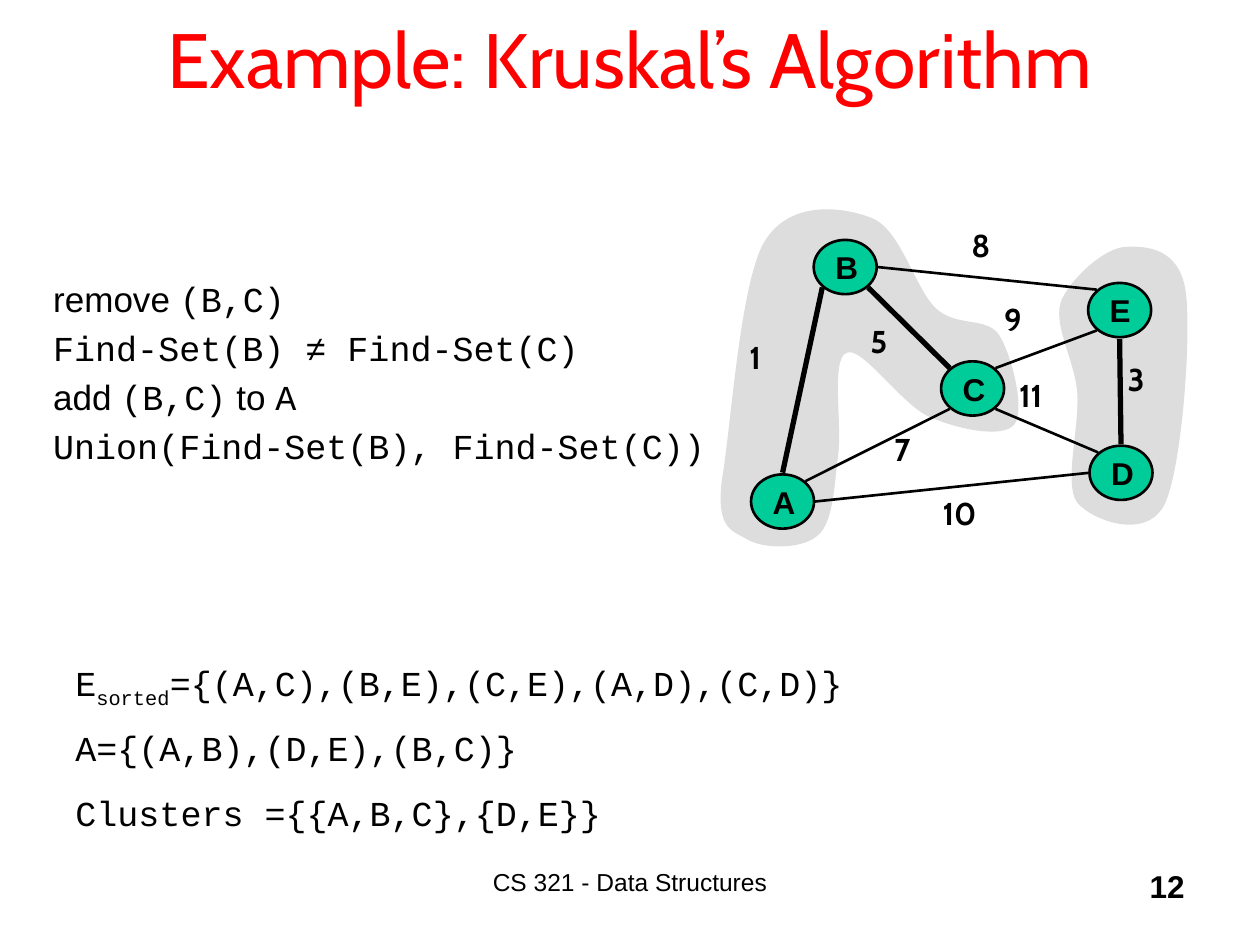
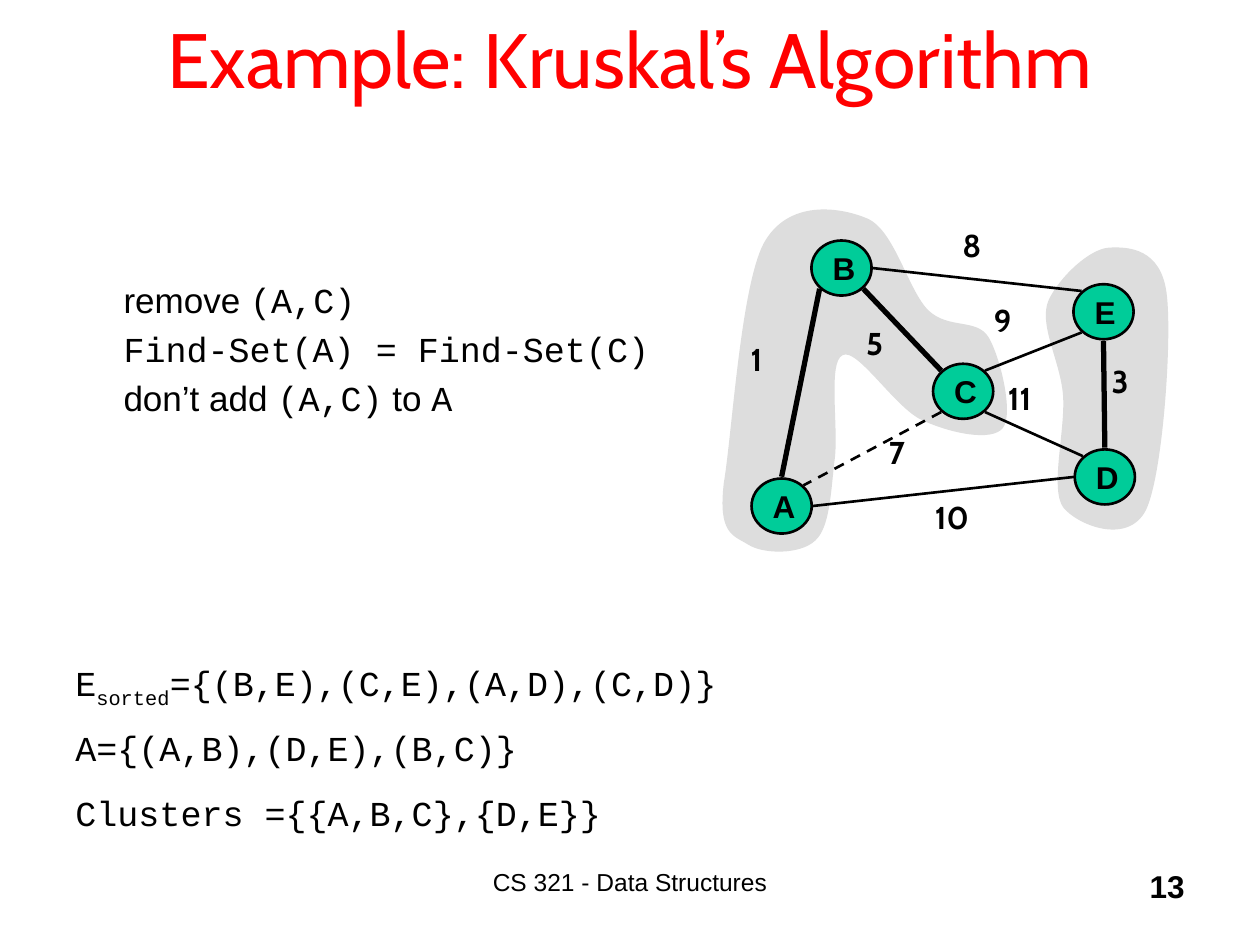
from math import cos, radians, sin

from lxml import etree
from pptx import Presentation
from pptx.dml.color import RGBColor
from pptx.enum.dml import MSO_LINE
from pptx.enum.shapes import MSO_CONNECTOR, MSO_SHAPE
from pptx.enum.text import MSO_ANCHOR, MSO_AUTO_SIZE, PP_ALIGN
from pptx.oxml.ns import qn
from pptx.util import Pt

RED = RGBColor(0xFF, 0x00, 0x00)
BLACK = RGBColor(0x00, 0x00, 0x00)
GREEN = RGBColor(0x00, 0xCC, 0x99)
GREY = RGBColor(0xDD, 0xDD, 0xDD)
SANS, TITLE_FONT, MONO = "Arial", "Cabin", "Courier New"

TITLE = "Example: Kruskal’s Algorithm"
FOOTER = "CS 321 - Data Structures"
TREE = "A={(A,B),(D,E),(B,C)}"
CLUSTERS = "Clusters ={{A,B,C},{D,E}}"

# steps: one list of (text, font) runs per line; scale: graph stretch in x and y
SLIDES = [
    {
        "number": "12",
        "steps_box": (23.3, 154.8, 389, 119),
        "steps": [
            [("remove ", SANS), ("(B,C)", MONO)],
            [("Find-Set(B) ≠ Find-Set(C)", MONO)],
            [("add ", SANS), ("(B,C)", MONO), (" to ", SANS), ("A", MONO)],
            [("Union(Find-Set(B), Find-Set(C))", MONO)],
        ],
        "sorted": "={(A,C),(B,E),(C,E),(A,D),(C,D)}",
        "sorted_width": 678,
        "scale": (1, 1),
        "rejected": [],
    },
    {
        "number": "13",
        "steps_box": (63.5, 155.3, 317, 90),
        "steps": [
            [("remove ", SANS), ("(A,C)", MONO)],
            [("Find-Set(A) = Find-Set(C)", MONO)],
            [("don’t add ", SANS), ("(A,C)", MONO), (" to ", SANS), ("A", MONO)],
        ],
        "sorted": "={(B,E),(C,E),(A,D),(C,D)}",
        "sorted_width": 420.5,
        "scale": (0.955, 1.015),
        "rejected": ["CA"],
    },
]

# Graph in slide points; each slide stretches it about GRAPH_ORIGIN
GRAPH_ORIGIN = (435, 114)
NODE_SIZE = (36, 31)
EDGE_RADII = (18.5, 16.5)
NODES = {"B": (483, 152.6), "C": (555.8, 222), "A": (447.2, 286.6),
         "D": (640.6, 270.2), "E": (639.8, 177.2)}
ANGLES = {"E": 0, "SE": 45, "S": 90, "SW": 135, "W": 180, "NW": 225, "N": 270, "NE": 315}
TREE_EDGES = {"BC", "BA", "ED"}
# edge, side of first node, side of second node, weight, label corner
EDGES = [
    ("BC", "SE", "NW", "5", (490.3, 180.6)),
    ("CA", "SW", "NE", "7", (504, 242)),
    ("BA", "SW", "N", "1", (421.2, 189.4)),
    ("CD", "SE", "NW", "11", (575.2, 211.6)),
    ("AD", "E", "W", "10", (531.5, 278.6)),
    ("BE", "E", "NW", "8", (548, 125.4)),
    ("ED", "S", "N", "3", (637.3, 202.2)),
    ("EC", "SW", "NE", "9", (566.8, 167.9)),
]
# Closed outlines: start point, then curves of two control points and an end point
CLUSTER_OUTLINES = [
    [(607, 170.6),
     (600.5, 184.3), (614.2, 205.2), (615.6, 224.6),
     (617, 244), (607.7, 276.5), (615.6, 287.3),
     (624.2, 297.4), (654.5, 308.9), (665.3, 288.7),
     (675.4, 268.6), (681.1, 190.8), (677.5, 166.3),
     (673.9, 141.8), (655.2, 140.4), (643, 141.1),
     (631.4, 141.8), (613.4, 157.7), (607, 170.6)],
    [(412.6, 273.6),
     (409, 302.4), (418.3, 303.1), (427, 308.2),
     (436.3, 313.9), (458.6, 313.9), (467.3, 306),
     (475.9, 298.8), (476.6, 279.4), (478.8, 261.4),
     (481.7, 244.1), (474.5, 205.2), (483.8, 201.6),
     (492.5, 197.3), (515.5, 231.8), (531.4, 238.3),
     (547.9, 245.5), (573.1, 250.6), (579.6, 242.6),
     (586.1, 234.7), (578.2, 203), (571, 191.5),
     (563.8, 180.7), (547.2, 187.2), (535, 176.4),
     (522.7, 164.9), (514.8, 131), (498.2, 124.6),
     (481.7, 118.1), (450.7, 113.8), (436.3, 139),
     (422.6, 164.2), (417.6, 245.5), (412.6, 273.6)],
]


def pts(*values):
    return [Pt(v) for v in values]


def fill_text(tf, lines, size, align=PP_ALIGN.LEFT, color=BLACK, bold=False, gap=0.2):
    """Write lines of (text, font[, baseline]) runs; gap is a share of the size."""
    for i, line in enumerate(lines):
        p = tf.paragraphs[0] if i == 0 else tf.add_paragraph()
        p.alignment = align
        p.space_before = Pt(size * gap)
        for text, font, *baseline in line:
            r = p.add_run()
            r.text = text
            for name, value in {"name": font, "size": Pt(size), "bold": bold}.items():
                setattr(r.font, name, value)
            r.font.color.rgb = color
            if baseline:
                r._r.get_or_add_rPr().set("baseline", str(baseline[0]))


def add_text(s, box, lines, size, wrap=True, anchor=MSO_ANCHOR.TOP,
             fit=MSO_AUTO_SIZE.NONE, **style):
    tf = s.shapes.add_textbox(*pts(*box)).text_frame
    settings = {"word_wrap": wrap, "vertical_anchor": anchor, "auto_size": fit}
    for name, value in settings.items():
        setattr(tf, name, value)
    fill_text(tf, lines, size, **style)


def curve_segments(sp):
    """Turn each three straight segments of a freeform into one cubic curve."""
    segments = list(sp._element.iter(qn("a:lnTo")))
    for i in range(0, len(segments), 3):
        first, *others = segments[i:i + 3]
        first.tag = qn("a:cubicBezTo")
        for other in others:
            first.append(other[0])
            other.getparent().remove(other)


def add_graph(s, scale, rejected):
    def place(point):
        return tuple(o + (v - o) * k for o, v, k in zip(GRAPH_ORIGIN, point, scale))

    def edge_end(node, side):
        angle = radians(ANGLES[side])
        (x, y), (rx, ry) = NODES[node], EDGE_RADII
        return place((x + rx * cos(angle), y + ry * sin(angle)))

    for outline in CLUSTER_OUTLINES:
        start, *rest = [pts(*place(point)) for point in outline]
        builder = s.shapes.build_freeform(*start)
        builder.add_line_segments(rest, close=True)
        sp = builder.convert_to_shape()
        curve_segments(sp)
        sp.shadow.inherit = False
        sp.fill.solid()
        sp.fill.fore_color.rgb = GREY
        sp.line.fill.background()

    width, height = (v * k for v, k in zip(NODE_SIZE, scale))
    for node, center in NODES.items():
        x, y = place(center)
        sp = s.shapes.add_shape(MSO_SHAPE.OVAL,
                                *pts(x - width / 2, y - height / 2, width, height))
        sp.shadow.inherit = False
        sp.fill.solid()
        sp.fill.fore_color.rgb = GREEN
        sp.line.color.rgb = BLACK
        sp.line.width = Pt(1.5)
        sp.text_frame.word_wrap = False
        sp.text_frame.vertical_anchor = MSO_ANCHOR.MIDDLE
        fill_text(sp.text_frame, [[(node, SANS)]], 18, bold=True)

    for edge, side1, side2, weight, corner in EDGES:
        line = s.shapes.add_connector(
            MSO_CONNECTOR.STRAIGHT,
            *pts(*edge_end(edge[0], side1), *edge_end(edge[1], side2)))
        line.line.color.rgb = BLACK
        line.line.width = Pt(3 if edge in TREE_EDGES else 1.5)
        if edge in rejected:
            line.line.dash_style = MSO_LINE.DASH
        etree.SubElement(line._element.spPr, qn("a:effectLst"))
        label_width = 36.5 if len(weight) == 1 else 51
        add_text(s, (*place(corner), label_width * scale[0], 36.8 * scale[1]),
                 [[(weight, TITLE_FONT)]], 18, wrap=False,
                 fit=MSO_AUTO_SIZE.SHAPE_TO_FIT_TEXT, bold=True)


def add_frame(s, number):
    """Title, footer and slide number."""
    add_text(s, (54, -12, 612, 90), [[(TITLE, TITLE_FONT)]], 44,
             anchor=MSO_ANCHOR.MIDDLE, align=PP_ALIGN.CENTER, color=RED, gap=0)
    add_text(s, (222, 492, 276, 36), [[(FOOTER, SANS)]], 14,
             align=PP_ALIGN.CENTER, gap=0)
    add_text(s, (534, 492, 150, 36), [[(number, SANS)]], 18,
             align=PP_ALIGN.RIGHT, bold=True, gap=0)


def main():
    prs = Presentation()
    prs.slide_width, prs.slide_height = pts(720, 540)
    for slide in SLIDES:
        s = prs.slides.add_slide(prs.slide_layouts[6])
        add_frame(s, slide["number"])
        sorted_runs = [("E", MONO), ("sorted", MONO, -25000), (slide["sorted"], MONO)]
        state = [
            (slide["sorted_width"], sorted_runs),
            (434, [(TREE, MONO)]),
            (394, [(CLUSTERS, MONO)]),
        ]
        for i, (width, line) in enumerate(state):
            add_text(s, (36, 374.5 + 37 * i, width, 31.5), [line], 20)
        add_text(s, slide["steps_box"], slide["steps"], 20)
        add_graph(s, slide["scale"], slide["rejected"])
    prs.save("out.pptx")


if __name__ == "__main__":
    main()
